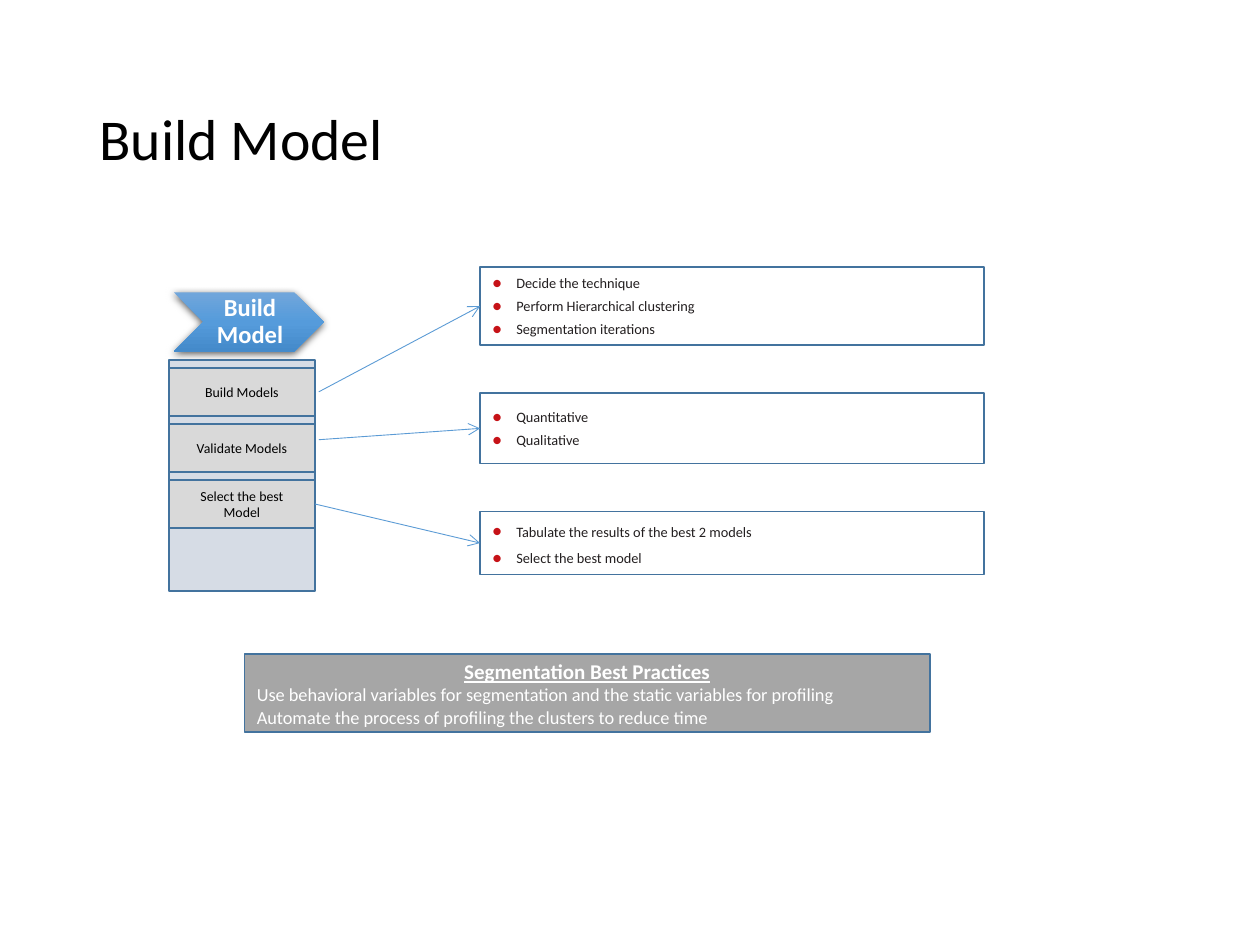
from copy import deepcopy
from lxml.etree import SubElement as Sub
from pptx import Presentation
from pptx.dml.color import RGBColor
from pptx.enum.shapes import MSO_CONNECTOR as Link, MSO_SHAPE as Kind
from pptx.enum.text import MSO_ANCHOR as Anchor, PP_ALIGN as Align
from pptx.oxml.ns import qn
from pptx.util import Inches, Pt

EDGE = "43739E"
BLUE = "5B9BD5"
LEFT, WIDE = 1.34, 1.16


def paint(color, code):
    color.rgb = RGBColor.from_string(code)


def node(up, tag, **attrs):
    return Sub(up, qn(tag), **attrs)


def write(frame, text, size=8.2, color="000000", bold=False, under=False,
          align=Align.LEFT, before=0, after=0, line=1.0, first=True):
    para = frame.paragraphs[0] if first else frame.add_paragraph()
    para.alignment = align
    para.line_spacing = line
    para.space_before = Pt(0 if first else before)
    para.space_after = Pt(after)
    run = para.add_run()
    run.text = text
    font = run.font
    font.name, font.size = "Calibri", Pt(size)
    font.bold, font.underline = bold, under
    paint(font.color, color)
    return para


def setup(frame):
    frame.word_wrap = True
    frame.vertical_anchor = Anchor.MIDDLE
    return frame


def area(shapes, x, y, w, h):
    box = shapes.add_textbox(Inches(x), Inches(y), Inches(w), Inches(h))
    return setup(box.text_frame)


def panel(shapes, x, y, w, h, fill=None):
    box = shapes.add_shape(Kind.RECTANGLE, Inches(x), Inches(y), Inches(w), Inches(h))
    box.shadow.inherit = False
    if fill:
        box.fill.solid()
        paint(box.fill.fore_color, fill)
    else:
        box.fill.background()
    paint(box.line.color, EDGE)
    box.line.width = Pt(1)
    setup(box.text_frame)
    return box


def dot(para):
    props = para._p.get_or_add_pPr()
    inset = Inches(0.19)
    props.set("marL", str(inset))
    props.set("indent", str(-inset))
    node(node(props, "a:buClr"), "a:srgbClr", val="C61217")
    node(props, "a:buSzPct", val="110000")
    node(props, "a:buFont", typeface="Calibri")
    node(props, "a:buChar", char="●")


def points(shapes, y, h, items, line=1.0):
    box = panel(shapes, 3.81, y, 4, h)
    for i, item in enumerate(items):
        dot(write(box.text_frame, item, color="231F20", before=3.3,
                  line=line, first=i == 0))
    return box


def arrow(shapes, x, y, goal, start=None):
    wire = shapes.add_connector(Link.STRAIGHT, Inches(x), Inches(y),
                                goal.left, goal.top + goal.height // 2)
    if start:
        wire.begin_connect(start, 3)
    wire.end_connect(goal, 1)
    paint(wire.line.color, BLUE)
    wire.line.width = Pt(0.5)
    node(wire.line._get_or_add_ln(), "a:tailEnd", type="arrow")
    node(wire._element.spPr, "a:effectLst")


def banner(shapes, text):
    group = shapes.add_group_shape().shapes
    y, h = 2.32, 0.47
    mark = group.add_shape(Kind.CHEVRON, Inches(1.38), Inches(y), Inches(1.19), Inches(h))
    mark.line.fill.background()
    mark.fill.gradient()
    mark.fill.gradient_angle = 270
    props = mark._element.spPr
    stops = props.find(qn("a:gradFill")).find(qn("a:gsLst"))
    stops.append(deepcopy(stops[0]))
    for i, code in enumerate(("71A6DB", "559BDB", "448ACA")):
        stop = mark.fill.gradient_stops[i]
        stop.position = i / 2
        paint(stop.color, code)
    mark.shadow.inherit = False
    shade = node(props.find(qn("a:effectLst")), "a:outerShdw", blurRad=str(Pt(4.5)),
                 dist=str(Pt(1.5)), dir="5400000", rotWithShape="0")
    node(node(shade, "a:srgbClr", val="000000"), "a:alpha", val="63000")
    frame = area(group, 1.61, y, 0.71, h)
    frame.margin_left = Inches(0.06)
    frame.margin_top = frame.margin_right = frame.margin_bottom = Inches(0.02)
    write(frame, text, size=14, color="FFFFFF", bold=True,
          align=Align.CENTER, line=0.9, after=4.9)


def stack(shapes, names):
    panel(shapes, LEFT, 2.86, WIDE, 1.83, "D6DCE5")
    steps = []
    for i, name in enumerate(names):
        box = panel(shapes, LEFT, 2.92 + i * 0.445, WIDE, 0.38, "D9D9D9")
        write(box.text_frame, name, size=7.9, align=Align.CENTER)
        steps.append(box)
    return steps


def advice(shapes):
    frame = panel(shapes, 1.94, 5.19, 5.44, 0.62, "A6A6A6").text_frame
    write(frame, "Segmentation Best Practices", size=12, color="FFFFFF",
          bold=True, under=True, align=Align.CENTER)
    for text in (
        "Use behavioral variables for segmentation and the static variables for profiling",
        "Automate the process of profiling the clusters to reduce time",
    ):
        write(frame, text, size=10.5, color="FFFFFF", first=False)


def main():
    deck = Presentation()
    deck.slide_width, deck.slide_height = Inches(10), Inches(7.5)
    shapes = deck.slides.add_slide(deck.slide_layouts[6]).shapes
    write(area(shapes, 0.69, 0.4, 8.62, 1.45), "Build Model", size=33, line=0.9)
    build = points(shapes, 2.12, 0.62, (
        "Decide the technique", "Perform Hierarchical clustering",
        "Segmentation iterations"))
    check = points(shapes, 3.12, 0.56, ("Quantitative", "Qualitative"))
    pick = points(shapes, 4.06, 0.5, (
        "Tabulate the results of the best 2 models", "Select the best model"), line=1.2)
    advice(shapes)
    banner(shapes, "Build Model")
    steps = stack(shapes, ("Build Models", "Validate Models", "Select the best Model"))
    arrow(shapes, 2.53, 3.11, build)
    arrow(shapes, 2.53, 3.49, check)
    arrow(shapes, 2.5, 4, pick, steps[2])
    deck.save("out.pptx")


if __name__ == "__main__":
    main()
